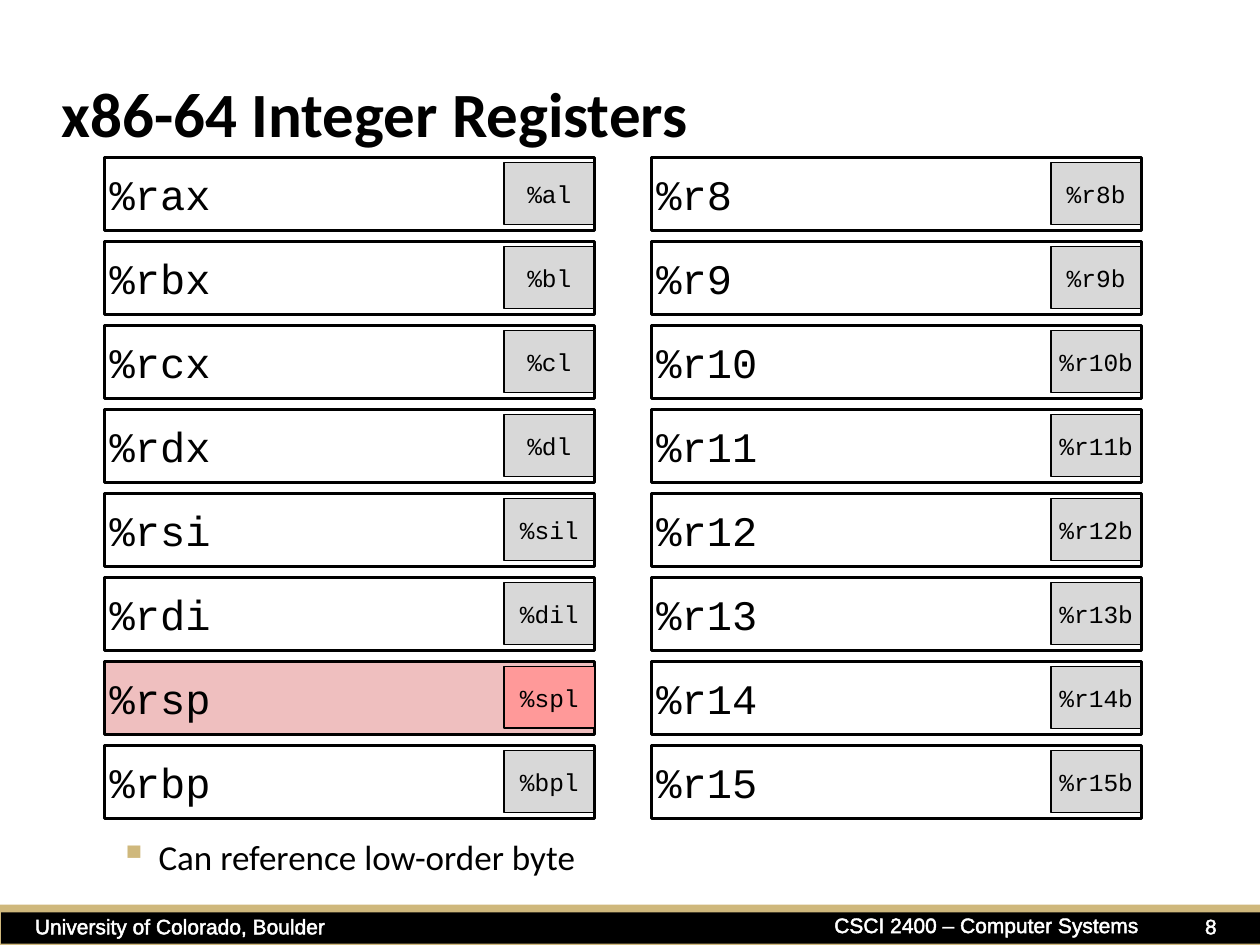
from lxml import etree
from pptx import Presentation
from pptx.dml.color import RGBColor
from pptx.enum.shapes import MSO_SHAPE
from pptx.enum.text import MSO_ANCHOR, MSO_AUTO_SIZE, PP_ALIGN
from pptx.oxml.ns import qn
from pptx.util import Inches, Pt

RECTANGLE = MSO_SHAPE.RECTANGLE
MIDDLE = MSO_ANCHOR.MIDDLE
LEFT, CENTER = PP_ALIGN.LEFT, PP_ALIGN.CENTER
NO_AUTOFIT = MSO_AUTO_SIZE.NONE
TITLE_ONLY = 5

COLORS = {
    "black": "000000", "white": "FFFFFF", "gold": "CFB87C",
    "byte": "D8D8D8", "stack": "EFBFBF", "stack byte": "FF9999",
}
SANS, FOOTER_FONT, MONO = "Calibri", "Arial", "Courier New"

# Register grid, in inches
GRID_LEFT, GRID_TOP = 0.83, 1.25
COLUMN_PITCH, ROW_PITCH = 4.34, 2 / 3
REGISTER_SIZE = (3.89, 0.58)
BYTE_OFFSET = (3.17, 0.04)
BYTE_SIZE = (0.72, 0.49)

REGISTER_COLUMNS = [
    [("%rax", "%al"), ("%rbx", "%bl"), ("%rcx", "%cl"), ("%rdx", "%dl"),
     ("%rsi", "%sil"), ("%rdi", "%dil"), ("%rsp", "%spl"), ("%rbp", "%bpl")],
    [(f"%r{number}", f"%r{number}b") for number in range(8, 16)],
]
STACK_POINTER = "%rsp"

FOOTERS = [
    ("University of Colorado, Boulder", (0.17, 7.2, 2.52, 0.3), False),
    ("CSCI 2400 – Computer Systems", (6.5, 7.19, 2.66, 0.3), True),
    ("8", (9.38, 7.2, 0.46, 0.3), True),
]


def color(name):
    return RGBColor.from_string(COLORS[name])


class RegisterSlide:
    def __init__(self, presentation):
        layout = presentation.slide_layouts[TITLE_ONLY]
        self.slide = presentation.slides.add_slide(layout)
        self.shapes = self.slide.shapes

    def add_text(self, paragraph, text, size, font, tint="black", bold=False):
        run = paragraph.add_run()
        run.text = text
        run.font.size = Pt(size)
        run.font.name = font
        run.font.bold = bold
        run.font.color.rgb = color(tint)
        return run

    def rectangle(self, box, fill=None, line=None):
        shape = self.shapes.add_shape(RECTANGLE, *map(Inches, box))
        shape.shadow.inherit = False
        if fill:
            shape.fill.solid()
            shape.fill.fore_color.rgb = color(fill)
        else:
            shape.fill.background()
        if line:
            shape.line.color.rgb = color("black")
            shape.line.width = Pt(line)
        else:
            shape.line.fill.background()
        return shape

    def label_box(self, box, text, size, align, fill, line):
        frame = self.rectangle(box, fill, line).text_frame
        frame.vertical_anchor = MIDDLE
        frame.margin_left = frame.margin_right = Inches(0.04)
        frame.margin_top = frame.margin_bottom = Inches(0.04)
        paragraph = frame.paragraphs[0]
        paragraph.alignment = align
        self.add_text(paragraph, text, size, MONO)

    def register(self, column, row, name, low_byte):
        """Draw the low byte, framed by the full register at a grid place."""
        left = GRID_LEFT + column * COLUMN_PITCH
        top = GRID_TOP + row * ROW_PITCH
        register_box = (left, top, *REGISTER_SIZE)
        byte_box = (left + BYTE_OFFSET[0], top + BYTE_OFFSET[1], *BYTE_SIZE)
        register = (register_box, name, 24, LEFT)
        byte = (byte_box, low_byte, 14, CENTER)
        if name == STACK_POINTER:
            self.label_box(*register, "stack", 2)
            self.label_box(*byte, "stack byte", 1)
        else:
            self.label_box(*byte, "byte", 0.75)
            self.label_box(*register, None, 2)

    def title(self, text, box):
        title = self.shapes.title
        title.left, title.top, title.width, title.height = map(Inches, box)
        frame = title.text_frame
        frame.auto_size = NO_AUTOFIT
        frame.vertical_anchor = MIDDLE
        paragraph = frame.paragraphs[0]
        paragraph.alignment = LEFT
        self.add_text(paragraph, text, 36, SANS, bold=True)

    def text_box(self, box, wrap=True):
        frame = self.shapes.add_textbox(*map(Inches, box)).text_frame
        frame.word_wrap = wrap
        return frame.paragraphs[0]

    def bullet(self, text, box):
        paragraph = self.text_box(box)
        paragraph.level = 1
        paragraph.space_before = Pt(4)
        self.add_text(paragraph, text, 20, SANS)
        properties = paragraph._p.get_or_add_pPr()
        properties.set("marL", str(Inches(0.81)))
        properties.set("indent", str(Inches(-0.31)))
        bullet_color = etree.SubElement(properties, qn("a:buClr"))
        etree.SubElement(bullet_color, qn("a:srgbClr"), val=COLORS["gold"])
        etree.SubElement(properties, qn("a:buSzPct"), val="110000")
        etree.SubElement(properties, qn("a:buChar"), char="▪")

    def footer(self, text, box, wrap):
        paragraph = self.text_box(box, wrap)
        paragraph.alignment = CENTER
        run = self.add_text(paragraph, text, 12, FOOTER_FONT, "white")
        outline = etree.Element(qn("a:ln"), w=str(Pt(0.75)))
        fill = etree.SubElement(outline, qn("a:solidFill"))
        etree.SubElement(fill, qn("a:srgbClr"), val=COLORS["white"])
        run._r.get_or_add_rPr().insert(0, outline)


def main():
    presentation = Presentation()
    presentation.slide_width = Inches(10)
    presentation.slide_height = Inches(7.5)
    page = RegisterSlide(presentation)

    page.rectangle((0, 7.18, 10, 0.32), "gold")
    page.rectangle((0.01, 7.24, 10, 0.25), "black")
    for text, box, wrap in FOOTERS:
        page.footer(text, box, wrap)

    page.title("x86-64 Integer Registers", (0.39, 0.48, 8.3, 0.83))
    page.bullet("Can reference low-order byte", (0.35, 6.58, 8.02, 0.92))
    for column, registers in enumerate(REGISTER_COLUMNS):
        for row, (name, low_byte) in enumerate(registers):
            page.register(column, row, name, low_byte)

    presentation.save("out.pptx")


if __name__ == "__main__":
    main()
